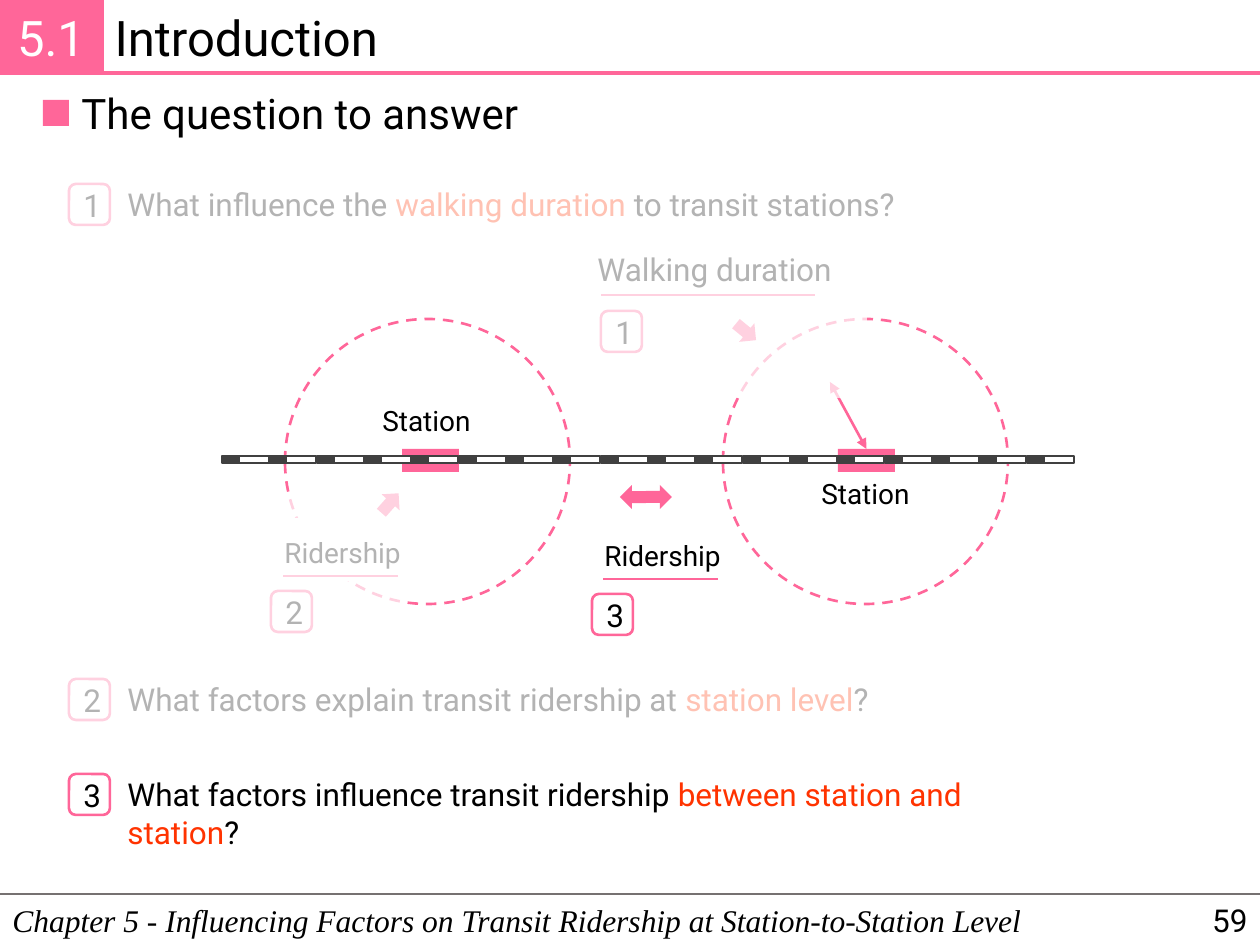
"""Build the slide that introduces the station-to-station ridership question."""
from lxml import etree
from pptx import Presentation
from pptx import util as u
from pptx.dml.color import RGBColor
from pptx.enum import dml, shapes, text
from pptx.oxml.ns import qn

PX = u.Inches(1) // 126
COLORS = {
    "pink": "FF6699", "red": "FF3300", "black": "000000", "white": "FFFFFF",
    "rail": "404040", "footer": "767171",
}
SHAPE = shapes.MSO_SHAPE
ALIGN = text.PP_ALIGN
ANCHOR = text.MSO_ANCHOR


def rgb(name):
    """Return the named colour."""
    return RGBColor.from_string(COLORS[name])


def write(shape, *runs, size=18, font="Roboto", color="black", align=ALIGN.LEFT,
          anchor=ANCHOR.TOP, wrap=True, grow=True, italic=None, inset=None):
    """Fill a shape with one paragraph; a run is a string or a (string, colour) pair."""
    frame = shape.text_frame
    frame.word_wrap = wrap
    frame.auto_size = text.MSO_AUTO_SIZE.SHAPE_TO_FIT_TEXT if grow else text.MSO_AUTO_SIZE.NONE
    frame.vertical_anchor = anchor
    if inset is not None:
        frame.margin_left = frame.margin_right = inset * PX
        frame.margin_top = frame.margin_bottom = inset * PX
    paragraph = frame.paragraphs[0]
    paragraph.alignment = align
    for item in runs:
        content, run_color = (item, color) if isinstance(item, str) else item
        run = paragraph.add_run()
        run.text = content
        run.font.name = font
        run.font.size = u.Pt(size)
        run.font.italic = italic
        run.font.color.rgb = rgb(run_color)


def add_text(slide, left, top, width, height, *runs, **style):
    """Add a text box."""
    box = slide.shapes.add_textbox(left * PX, top * PX, width * PX, height * PX)
    write(box, *runs, **style)
    return box


def add_shape(slide, kind, left, top, width, height, fill=None, line=None,
              weight=1.5, dash=False, turn=0, opacity=None):
    """Add a preset shape without shadow."""
    shape = slide.shapes.add_shape(kind, left * PX, top * PX, width * PX, height * PX)
    shape.shadow.inherit = False
    shape.rotation = turn
    if fill:
        shape.fill.solid()
        shape.fill.fore_color.rgb = rgb(fill)
    else:
        shape.fill.background()
    if line:
        shape.line.color.rgb = rgb(line)
        shape.line.width = u.Pt(weight)
    else:
        shape.line.fill.background()
    if dash:
        shape.line.dash_style = dml.MSO_LINE.DASH
    if opacity is not None:
        color = shape.fill._xPr.find(qn("a:solidFill"))[0]
        etree.SubElement(color, qn("a:alpha"), val=str(opacity * 1000))
    return shape


def add_line(slide, x1, y1, x2, y2, color="pink", weight=1.5, arrows=False):
    """Add a straight line, with arrowheads at both ends if asked."""
    line = slide.shapes.add_connector(
        shapes.MSO_CONNECTOR.STRAIGHT, x1 * PX, y1 * PX, x2 * PX, y2 * PX)
    line.line.color.rgb = rgb(color)
    line.line.width = u.Pt(weight)
    if arrows:
        for end in ("a:headEnd", "a:tailEnd"):
            etree.SubElement(line.line._get_or_add_ln(), qn(end), type="triangle")
    etree.SubElement(line._element.spPr, qn("a:effectLst"))
    return line


def add_number(slide, left, top, number):
    """Add a numbered rounded box."""
    box = add_shape(slide, SHAPE.ROUNDED_RECTANGLE, left, top, 41, 41, line="pink")
    write(box, number, align=ALIGN.CENTER, anchor=ANCHOR.MIDDLE, grow=False)


def add_question(slide, top, number, *runs):
    """Add a question with its number."""
    add_text(slide, 115, top, 959, 51, *runs)
    add_number(slide, 69, top + 5, number)


def add_veil(slide, left, top, width, height):
    """Add a translucent white cover that fades what lies below."""
    add_shape(slide, SHAPE.RECTANGLE, left, top, width, height, fill="white", opacity=70)


def add_arrow(slide, left, top, turn=0):
    """Add a small block arrow."""
    add_shape(slide, SHAPE.RIGHT_ARROW, left, top, 26, 24, fill="pink", turn=turn)


def add_station(slide, left, circle_left, label_left, label_top):
    """Add a station with its catchment circle and label."""
    station = add_shape(slide, SHAPE.RECTANGLE, left, 449, 57, 23, fill="pink")
    add_shape(slide, SHAPE.OVAL, circle_left, 319, 285, 285, line="pink", dash=True)
    add_text(slide, label_left, label_top, 113, 47, "Station", size=16, wrap=False)
    return station


def add_track(slide):
    """Add the railway as 18 pairs of dark and light pieces."""
    for index in range(18):
        left = round(222 + index * 47.34)
        for offset, width, fill in ((0, 17, "rail"), (17, 30, "white")):
            add_shape(slide, SHAPE.RECTANGLE, left + offset, 456, width, 7,
                      fill=fill, line="rail", weight=1)


def add_ridership(slide, left, top, number_left, number):
    """Add an underlined ridership label with its number."""
    add_text(slide, left, top, 145, 47, "Ridership", size=16, wrap=False)
    add_line(slide, left + 126, top + 47, left + 11, top + 47)
    add_number(slide, number_left, top + 62, number)


def add_header(slide):
    """Add the section number, title, rule and heading."""
    title = slide.shapes.title
    title.left, title.top, title.width, title.height = (v * PX for v in (102, 1, 1158, 72))
    write(title, "Introduction", size=28)
    section = add_shape(slide, SHAPE.RECTANGLE, 0, 0, 102, 73,
                        fill="pink", line="pink", weight=2.25)
    write(section, "5.1", size=28, color="white", align=ALIGN.CENTER,
          anchor=ANCHOR.MIDDLE, inset=8)
    add_line(slide, 102, 73, 1260, 73, weight=2.25)
    add_shape(slide, SHAPE.RECTANGLE, 43, 100, 26, 26, fill="pink")
    add_text(slide, 69, 81, 466, 63, "The question to answer", size=24, wrap=False)


def add_footer(slide):
    """Add the chapter line and page number."""
    add_line(slide, 0, 894, 1260, 894, color="footer", weight=1)
    add_text(slide, 0, 895, 1260, 50,
             "Chapter 5 - Influencing Factors on Transit Ridership at Station-to-Station Level",
             font="Times New Roman", italic=True)
    add_text(slide, 977, 895, 283, 50, "59", align=ALIGN.RIGHT,
             anchor=ANCHOR.MIDDLE, grow=False)


def add_diagram(slide):
    """Add the two stations, the track and the three numbered topics."""
    add_station(slide, 402, 285, 370, 397)
    right_station = add_station(slide, 838, 723, 809, 470)
    add_track(slide)
    add_arrow(slide, 377, 491, turn=311.6)
    add_shape(slide, SHAPE.RECTANGLE, 239, 518, 169, 63, fill="white")
    add_ridership(slide, 272, 529, 271, "2")
    add_arrow(slide, 620, 485, turn=180)
    add_arrow(slide, 646, 485)
    add_ridership(slide, 592, 532, 592, "3")
    walk = add_line(slide, 866, 449, 830, 382, arrows=True)
    walk.begin_connect(right_station, 0)
    label = add_shape(slide, SHAPE.RECTANGLE, 585, 244, 261, 51, fill="white")
    write(label, "Walking duration", wrap=False)
    add_line(slide, 815, 295, 601, 295)
    add_number(slide, 601, 311, "1")
    add_arrow(slide, 733, 320, turn=39.3)
    add_veil(slide, 246, 493, 156, 141)
    add_veil(slide, 581, 224, 286, 174)


def main():
    """Build and save the slide."""
    presentation = Presentation()
    presentation.slide_width, presentation.slide_height = 1260 * PX, 945 * PX
    slide = presentation.slides.add_slide(presentation.slide_layouts[5])
    add_header(slide)
    add_question(slide, 179, "1", "What influence the ", ("walking duration ", "red"),
                 "to transit stations?")
    add_question(slide, 674, "2", "What factors explain transit ridership at ",
                 ("station level", "red"), "?")
    add_question(slide, 769, "3", "What factors influence transit ridership ",
                 ("between station and station", "red"), "?")
    add_veil(slide, 50, 658, 1048, 83)
    add_footer(slide)
    add_diagram(slide)
    add_veil(slide, 47, 169, 858, 71)
    presentation.save("out.pptx")


if __name__ == "__main__":
    main()
